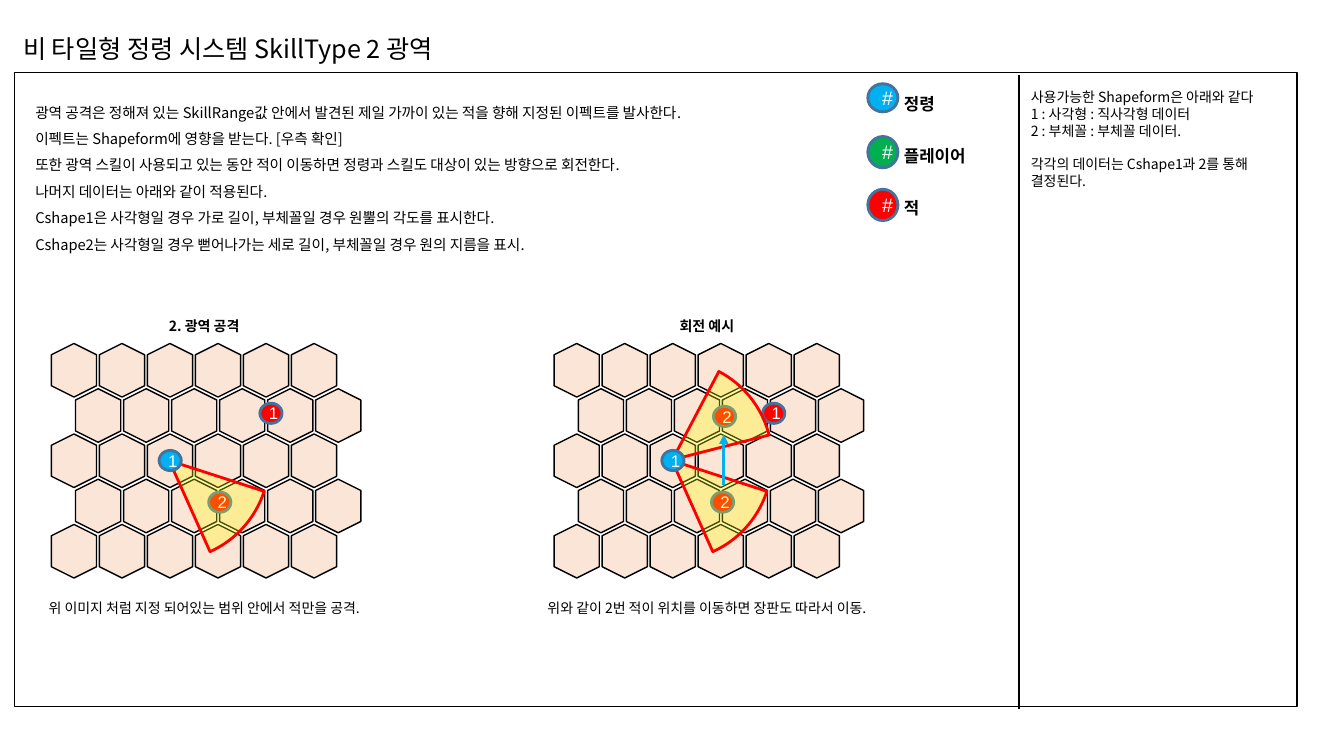
"""Build the slide on area skills of the non-tile spirit system."""
from lxml.etree import SubElement
from pptx import Presentation
from pptx.dml.color import RGBColor
from pptx.enum.shapes import MSO_CONNECTOR, MSO_SHAPE
from pptx.enum.text import MSO_ANCHOR, PP_ALIGN
from pptx.oxml.ns import qn
from pptx.util import Cm, Pt

BLACK = RGBColor(0, 0, 0)
WHITE = RGBColor(255, 255, 255)
BLUE = RGBColor(0x00, 0xB0, 0xF0)
GREEN = RGBColor(0x00, 0xB0, 0x50)
RED = RGBColor(255, 0, 0)
RIM = RGBColor(0x43, 0x73, 0x9E)
PEACH = RGBColor(0xFB, 0xE5, 0xD6)
YELLOW = RGBColor(255, 255, 0)
NOTO, ARIAL = "Noto Sans CJK KR", "Arial"

TITLE = "비 타일형 정령 시스템 SkillType 2 광역"
RULES = [
    "광역 공격은 정해져 있는 SkillRange값 안에서 발견된 제일 가까이 있는 적을 향해 지정된 이펙트를 발사한다.",
    "이펙트는 Shapeform에 영향을 받는다. [우측 확인]",
    "또한 광역 스킬이 사용되고 있는 동안 적이 이동하면 정령과 스킬도 대상이 있는 방향으로 회전한다.",
    "나머지 데이터는 아래와 같이 적용된다.",
    "Cshape1은 사각형일 경우 가로 길이, 부체꼴일 경우 원뿔의 각도를 표시한다.",
    "Cshape2는 사각형일 경우 뻗어나가는 세로 길이, 부체꼴일 경우 원의 지름을 표시.",
]
FORMS = [
    "사용가능한 Shapeform은 아래와 같다",
    "1 : 사각형 : 직사각형 데이터",
    "2 : 부체꼴 : 부체꼴 데이터.",
    "각각의 데이터는 Cshape1과 2를 통해 결정된다.",
]
LEGEND = [("정령", BLUE, 0.71), ("플레이어", GREEN, 0.79), ("적", RED, 0.79)]
FOES = [("2", 5.26, 12.4), ("1", 6.55, 10.16)]
BOARDS = [
    (0, "2. 광역 공격", "위 이미지 처럼 지정 되어있는 범위 안에서 적만을 공격.", False),
    (12.67, "회전 예시", "위와 같이 2번 적이 위치를 이동하면 장판도 따라서 이동.", True),
]

deck = Presentation()
deck.slide_width, deck.slide_height = Cm(33.87), Cm(19.05)
slide = deck.slides.add_slide(deck.slide_layouts[5])
shapes = slide.shapes


def write(frame, lines, size, color=BLACK, font=NOTO, bold=False,
          align=PP_ALIGN.LEFT, gap=1.0):
    """Fill a text frame with one paragraph per line."""
    frame.word_wrap = True
    for i, line in enumerate(lines):
        par = frame.add_paragraph() if i else frame.paragraphs[0]
        par.alignment, par.line_spacing = align, gap
        run = par.add_run()
        run.text = line
        face = run.font
        face.size, face.bold, face.name = Pt(size), bold, font
        face.color.rgb = color
        SubElement(face._element, qn("a:ea")).set("typeface", NOTO)


def label(x, y, w, h, lines, size, **style):
    """Add a text box."""
    frame = shapes.add_textbox(Cm(x), Cm(y), Cm(w), Cm(h)).text_frame
    write(frame, lines, size, **style)
    return frame


def draw(kind, x, y, w, h, fill, line, width, turn=0):
    """Add a preset shape with its fill and outline."""
    shape = shapes.add_shape(kind, Cm(x), Cm(y), Cm(w), Cm(h))
    shape.shadow.inherit = False
    shape.rotation = turn
    if fill is None:
        shape.fill.background()
    else:
        shape.fill.solid()
        shape.fill.fore_color.rgb = fill
    shape.line.color.rgb, shape.line.width = line, Pt(width)
    return shape


def token(text, x, y, fill, w=0.56, h=0.51, size=12):
    """Add a round marker with its sign."""
    frame = draw(MSO_SHAPE.OVAL, x, y, w, h, fill, RIM, 2).text_frame
    frame.vertical_anchor = MSO_ANCHOR.MIDDLE
    write(frame, [text], size, WHITE, ARIAL, align=PP_ALIGN.CENTER)


def fan(x, y, turn):
    """Add the see-through skill range."""
    shape = draw(MSO_SHAPE.PIE, x, y, 5.03, 5.03, YELLOW, RED, 2, turn)
    shape.adjustments[0], shape.adjustments[1] = 64.755, 93.499
    tint = shape._element.spPr.find(qn("a:solidFill"))[0]
    SubElement(tint, qn("a:alpha")).set("val", "30000")


def link(x, top, end, color, width):
    """Add an upright line."""
    line = shapes.add_connector(MSO_CONNECTOR.STRAIGHT, Cm(x), Cm(top), Cm(x), Cm(end))
    line.line.color.rgb, line.line.width = color, Pt(width)
    SubElement(line._element.spPr, qn("a:effectLst"))
    return line


def board(dx, head, note, moved):
    """Add one hexagon board with its tokens and captions."""
    for row in range(5):
        for col in range(6):
            x = 1.19 + dx + 1.21 * col + 0.61 * (row % 2)
            draw(MSO_SHAPE.HEXAGON, x, 8.76 + 1.14 * row, 1.35, 1.14, PEACH, BLACK, 1, 270)
    for y, text, bold in ((7.67, head, True), (14.76, note, False)):
        label(0.33 + dx, y, 9.63, 0.89, [text], 10, bold=bold,
              align=PP_ALIGN.CENTER, gap=1.5)
    for sign, x, y in FOES:
        token(sign, x + dx, y, RED)
    fan(1.75 + dx, 9.09, 270)
    if moved:
        token("2", 5.31 + dx, 10.24, RED)
        fan(1.76 + dx, 9.07, 189.8)
    token("1", 4.01 + dx, 11.35, BLUE)
    if moved:
        arrow = link(5.57 + dx, 12.22, 10.95, BLUE, 2.25)
        SubElement(arrow.line._get_or_add_ln(), qn("a:tailEnd")).set("type", "triangle")


title = shapes.title
title.left, title.top, title.width, title.height = Cm(0.33), Cm(0.71), Cm(15.85), Cm(1.02)
title.text_frame.vertical_anchor = MSO_ANCHOR.TOP
write(title.text_frame, [TITLE], 18)
draw(MSO_SHAPE.RECTANGLE, 0.36, 1.83, 32.33, 15.98, None, BLACK, 1)
link(25.68, 1.88, 17.86, BLACK, 0.75)
label(0.64, 2.26, 23.19, 4.29, RULES, 10.5, gap=1.5)
for i, (name, color, high) in enumerate(LEGEND):
    token("#", 21.87, 2.11 + 1.33 * i, color, 0.76, high, 14)
    label(22.53, 1.98 + 1.31 * i, 2.69, 0.91, [name], 12, font=ARIAL, bold=True, gap=1.5)
forms = label(25.73, 2.11, 6.63, 2.82, FORMS, 10)
forms.paragraphs[-1].space_before = Pt(12)
for item in BOARDS:
    board(*item)
deck.save("out.pptx")
